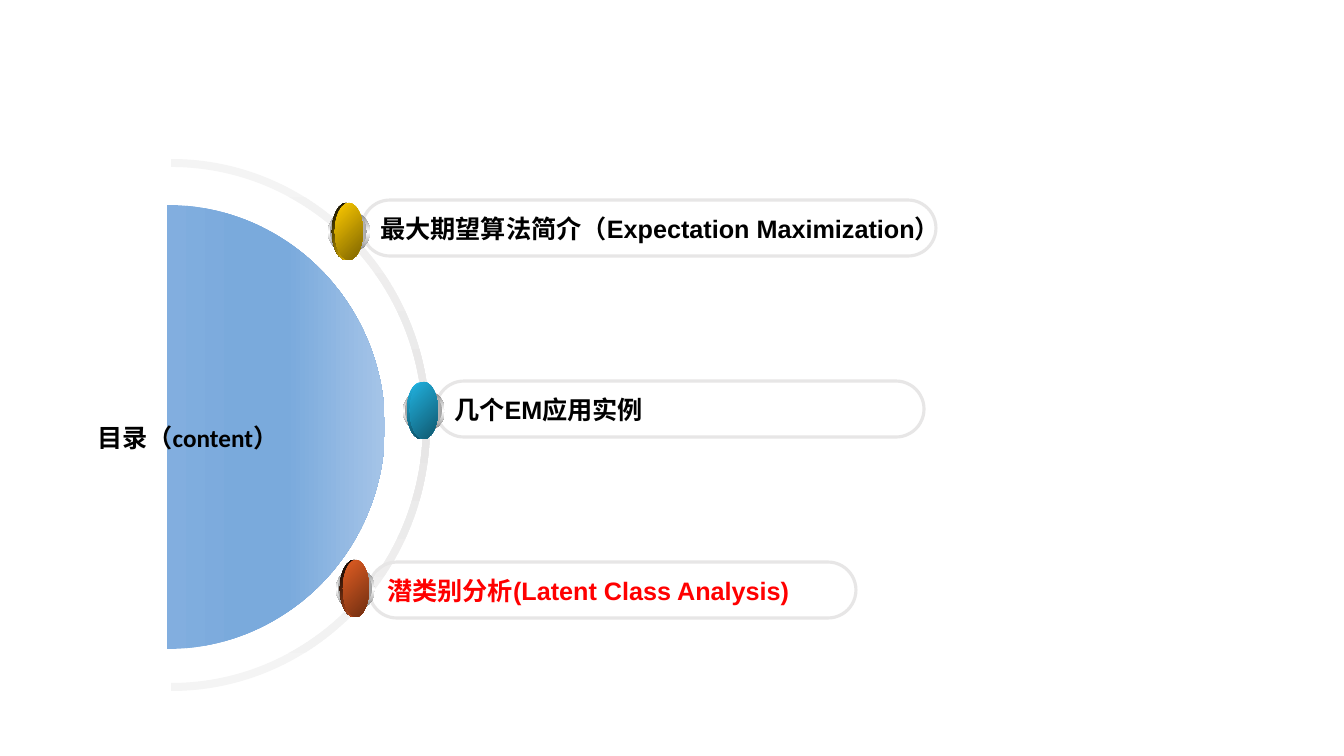
from lxml import etree
from pptx import Presentation
from pptx.dml.color import RGBColor
from pptx.enum.shapes import MSO_SHAPE
from pptx.enum.text import MSO_ANCHOR, PP_ALIGN
from pptx.oxml import parse_xml
from pptx.oxml.ns import nsdecls, qn
from pptx.util import Pt

PX = 9525 * 96 / 100.8  # EMU per px
PILL, OVAL = MSO_SHAPE.ROUNDED_RECTANGLE, MSO_SHAPE.OVAL
LEFT, MIDDLE, TOP = PP_ALIGN.LEFT, MSO_ANCHOR.MIDDLE, MSO_ANCHOR.TOP
COLORS = {
    "black": "000000", "white": "FFFFFF", "red": "FF0000",
    "edge": "E7E6E6", "edge_light": "F4F4F4",
    "rim_dark": "767676", "rim": "A2A2A2",
    "disc_left": "82AEDF", "disc": "7AAADC", "disc_right": "A5C4E8",
    "gold": "FFCC00", "gold_dark": "7C6300",
    "cyan": "21B3E1", "cyan_dark": "10576D",
    "rust": "E35E23", "rust_dark": "6E2E11",
}


def fill_gradient(shape, angle, stops):
    """Fill without outline; stops are (percent, colour name), angle is clockwise."""
    shape.shadow.inherit = False
    shape.line.fill.background()
    shape.fill.background()
    gradient = parse_xml(f'<a:gradFill {nsdecls("a")} rotWithShape="1"><a:gsLst/></a:gradFill>')
    for percent, name in stops:
        stop = etree.SubElement(gradient[0], qn("a:gs"), pos=str(percent * 1000))
        etree.SubElement(stop, qn("a:srgbClr"), val=COLORS[name])
    etree.SubElement(gradient, qn("a:lin"), ang=str(angle * 60000), scaled="0")
    blank = shape.element.spPr.find(qn("a:noFill"))
    blank.getparent().replace(blank, gradient)


def half_arc(center_x, center_y, radius_x, radius_y):
    """Bezier points, in EMU, of a right-hand half ellipse from top to bottom."""
    bend = 0.5523
    units = [(0, -1), (bend, -1), (1, -bend), (1, 0), (1, bend), (bend, 1), (0, 1)]
    return [(round((center_x + radius_x * x) * PX), round((center_y + radius_y * y) * PX))
            for x, y in units]


deck = Presentation()
deck.slide_width, deck.slide_height = round(1344 * PX), round(756 * PX)
page = deck.slides.add_slide(deck.slide_layouts[5])

# Half ring and half disc; curve_starts index the first of three points of each curve
ring = half_arc(171, 425, 259, 266) + half_arc(171, 425, 252, 258)[::-1]
disc = half_arc(167, 427, 218, 222)
outlines = [
    (ring, (0, 3, 7, 10), 90, [(0, "edge_light"), (50, "edge"), (100, "edge_light")]),
    (disc, (0, 3), 0, [(0, "disc_left"), (35, "disc"), (55, "disc"), (100, "disc_right")]),
]
for points, curve_starts, angle, stops in outlines:
    builder = page.shapes.build_freeform(*points[0])
    builder.add_line_segments(points[1:], close=True)
    outline = builder.convert_to_shape()
    segments = list(outline.element.iter(qn("a:lnTo")))
    for start in curve_starts:
        first, *others = segments[start:start + 3]
        first.tag = qn("a:cubicBezTo")
        for segment in others:
            first.append(segment[0])
            segment.getparent().remove(segment)
    fill_gradient(outline, angle, stops)

# Topics: text, text colour, pill (left, top, width), dot (left, top),
# widths of rim, inner rim and face, shade, face
topics = [
    ("最大期望算法简介（Expectation Maximization）", "black", (362, 200, 574), (328, 203),
     (42, 37, 28), (45, "black", "gold"), ("gold", "gold_dark")),
    ("几个EM应用实例", "black", (436, 381, 488), (403, 382),
     (42, 37, 28), (90, "cyan", "cyan_dark"), ("cyan", "cyan_dark")),
    ("潜类别分析(Latent Class Analysis)", "red", (369, 562, 487), (336, 560),
     (39, 34, 26), (45, "black", "rust"), ("rust", "rust_dark")),
]
for text, color, pill_box, (dot_left, dot_top), widths, shade, face in topics:
    pill = page.shapes.add_shape(PILL, *[round(value * PX) for value in (*pill_box, 56)])
    pill.adjustments[0] = 0.5
    pill.shadow.inherit = False
    pill.fill.background()
    pill.line.color.rgb = RGBColor.from_string(COLORS["edge"])
    pill.line.width = Pt(2.25)
    frame = pill.text_frame
    frame.text = text
    frame.word_wrap = False
    frame.vertical_anchor = MIDDLE
    para = frame.paragraphs[0]
    para.alignment = LEFT
    font = para.runs[0].font
    font.name, font.size, font.bold = "Arial", Pt(18), True
    font.color.rgb = RGBColor.from_string(COLORS[color])

    rim_width, inner_width, face_width = widths
    shade_angle, shade_start, shade_end = shade
    layers = [
        ((0, 8, rim_width, 42), 90, [(0, "rim_dark"), (50, "white"), (100, "rim_dark")]),
        ((2, 10, inner_width, 37), 0, [(0, "rim"), (50, "white"), (100, "rim")]),
        ((4, 0, 28, 57), shade_angle, [(0, shade_start), (100, shade_end)]),
        ((7, 0, face_width, 57), 45, [(0, face[0]), (100, face[1])]),
    ]
    for (left, top, width, height), angle, stops in layers:
        box = (dot_left + left, dot_top + top, width, height)
        oval = page.shapes.add_shape(OVAL, *[round(value * PX) for value in box])
        fill_gradient(oval, angle, stops)

# Title, brought in front of the disc
title = page.shapes.title
title.left, title.top, title.width, title.height = [
    round(value * PX) for value in (87, 417, 236, 40)]
title.element.getparent().append(title.element)
frame = title.text_frame
frame.text = "目录（content）"
frame.word_wrap = True
frame.vertical_anchor = TOP
para = frame.paragraphs[0]
para.alignment = LEFT
font = para.runs[0].font
font.name, font.size, font.bold = "Calibri", Pt(18), True
font.color.rgb = RGBColor.from_string(COLORS["black"])

deck.save("out.pptx")
